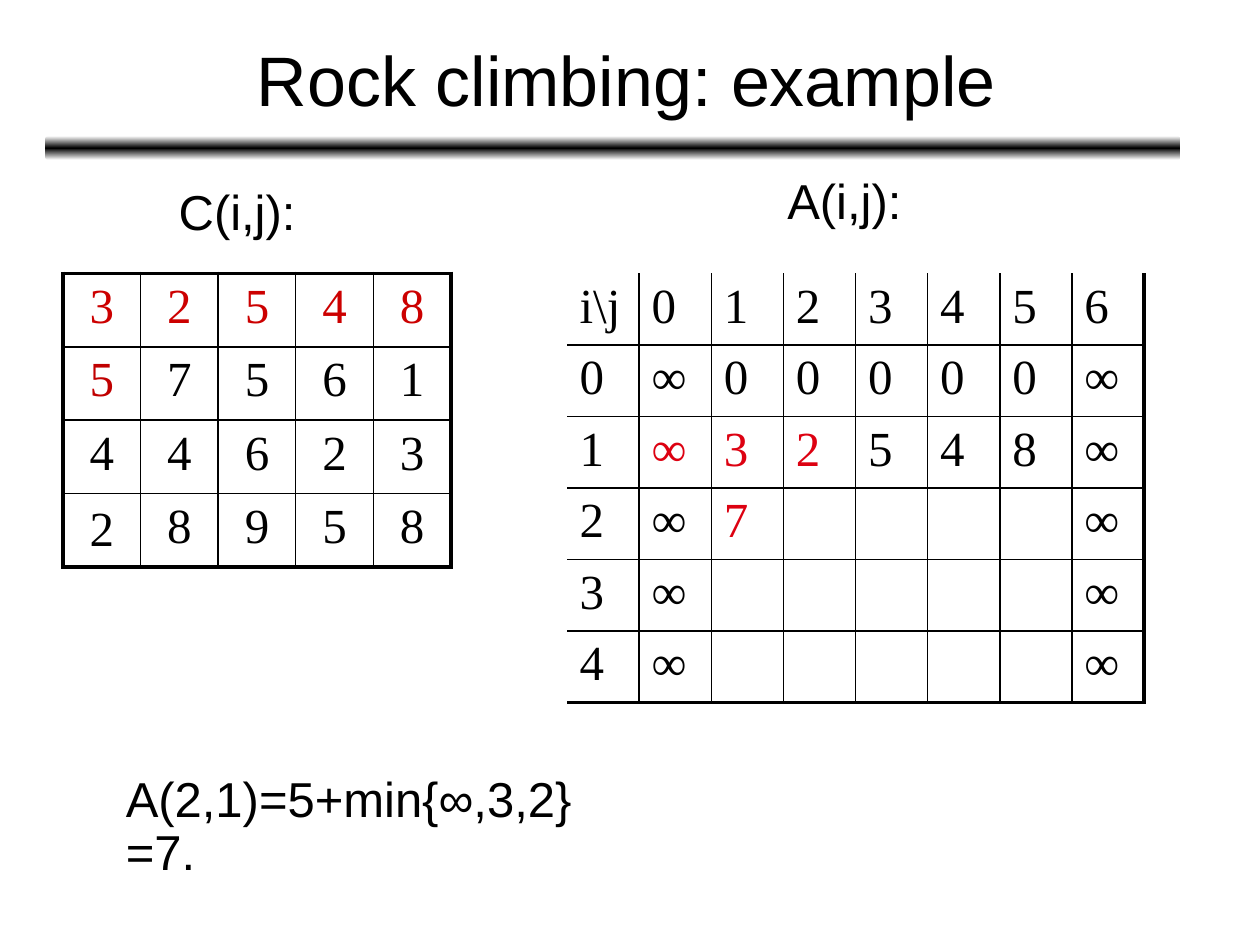
"""Build the rock climbing example slide with its cost and answer tables."""
from copy import deepcopy
from dataclasses import dataclass

from pptx import Presentation, oxml, util as u
from pptx.dml.color import RGBColor
from pptx.enum import shapes, text
from pptx.oxml.ns import nsdecls, qn


@dataclass(frozen=True)
class Theme:
    """Colours, fonts and sizes of the slide."""
    ink: str = "000000"
    pale: str = "FFFFFF"
    cost: str = "CC0000"
    dark: str = "C00000"
    mark: str = "DD0111"
    sans: str = "Arial"
    serif: str = "Times New Roman"
    head: float = 40
    body: float = 28
    thin: float = 1
    thick: float = 2.25


T = Theme()
COST = ["32548", "57561", "44623", "28958"]
COST_INK = {**{(0, col): T.cost for col in range(5)}, (1, 0): T.dark}
BEST = [["i\\j", *"0123456"], [*"0∞00000∞"], [*"1∞32548∞"],
        [*"2∞7", "", "", "", "", "∞"],
        [*"3∞", "", "", "", "", "", "∞"],
        [*"4∞", "", "", "", "", "", "∞"]]
BEST_INK = {spot: T.mark for spot in [(2, 1), (2, 2), (2, 3), (3, 2)]}


def style(para, name, size, ink=T.ink):
    """Format a paragraph, including an empty one."""
    for font in [para.font, *(run.font for run in para.runs)]:
        font.name = name
        font.size = u.Pt(size)
        font.color.rgb = RGBColor.from_string(ink)


def label(slide, words, box, size=T.body, wrap=False, mid=False):
    """Add a line of sans text in a box given in inches."""
    frame = slide.shapes.add_textbox(*map(u.Inches, box)).text_frame
    frame.word_wrap = wrap
    frame.text = words
    para = frame.paragraphs[0]
    if mid:
        frame.vertical_anchor = text.MSO_ANCHOR.MIDDLE
        para.alignment = text.PP_ALIGN.CENTER
    else:
        para.line_spacing = 0.9
    style(para, T.sans, size)


def rule(slide, box):
    """Add the blurred bar under the title."""
    bar = slide.shapes.add_shape(shapes.MSO_SHAPE.ROUNDED_RECTANGLE,
                                 *map(u.Inches, box))
    bar.shadow.inherit = False
    bar.line.fill.background()
    bar.fill.gradient()
    bar.fill.gradient_angle = 90
    stops = bar._element.spPr.find(qn("a:gradFill")).find(qn("a:gsLst"))
    stops.append(deepcopy(stops[0]))
    shades = (T.pale, T.ink, T.pale)
    for stop, place, shade in zip(bar.fill.gradient_stops, (0, 0.5, 1), shades):
        stop.position = place
        stop.color.rgb = RGBColor.from_string(shade)


def edge(cell, side, width):
    """Draw one cell border, or none for a zero width."""
    paint = (f'<a:solidFill><a:srgbClr val="{T.ink}"/></a:solidFill>'
             if width else "<a:noFill/>")
    cell._tc.get_or_add_tcPr().append(oxml.parse_xml(
        f'<a:ln{side} {nsdecls("a")} w="{u.Pt(width)}">{paint}</a:ln{side}>'))


def grid(slide, rows, box, inks, align, outer):
    """Add a ruled table; outer gives left, right, top, bottom widths."""
    high, wide = len(rows), len(rows[0])
    table = slide.shapes.add_table(high, wide, *map(u.Inches, box)).table
    table.first_row = table.horz_banding = False
    for i, row in enumerate(rows):
        for j, word in enumerate(row):
            cell = table.cell(i, j)
            cell.text = word
            para = cell.text_frame.paragraphs[0]
            para.alignment = align
            style(para, T.serif, T.body, inks.get((i, j), T.ink))
            ends = (j == 0, j == wide - 1, i == 0, i == high - 1)
            for side, end, width in zip("LRTB", ends, outer):
                edge(cell, side, width if end else T.thin)
            cell.fill.background()
    return table


def main():
    """Lay out the slide and save it."""
    deck = Presentation()
    deck.slide_width, deck.slide_height = u.Inches(10), u.Inches(7.5)
    slide = deck.slides.add_slide(deck.slide_layouts[6])
    rule(slide, (0.36, 1.08, 9.01, 0.19))
    label(slide, "Rock climbing: example", (0.72, 0, 8.5, 1.25),
          T.head, wrap=True, mid=True)
    costs = grid(slide, COST, (0.5, 2.17, 3.08, 2.33), COST_INK,
                 text.PP_ALIGN.CENTER, (T.thick,) * 4)
    costs.cell(3, 0).vertical_anchor = text.MSO_ANCHOR.MIDDLE
    label(slide, "C(i,j):", (1.32, 1.44, 1.14, 0.52))
    label(slide, "A(i,j):", (6.15, 1.36, 1.16, 0.52))
    label(slide, "A(2,1)=5+min{∞,3,2}=7.", (0.9, 6.1, 4.1, 0.52), wrap=True)
    grid(slide, BEST, (4.5, 2.17, 4.58, 3.4), BEST_INK,
         text.PP_ALIGN.LEFT, (0, T.thick, 0, T.thick))
    deck.save("out.pptx")


if __name__ == "__main__":
    main()
